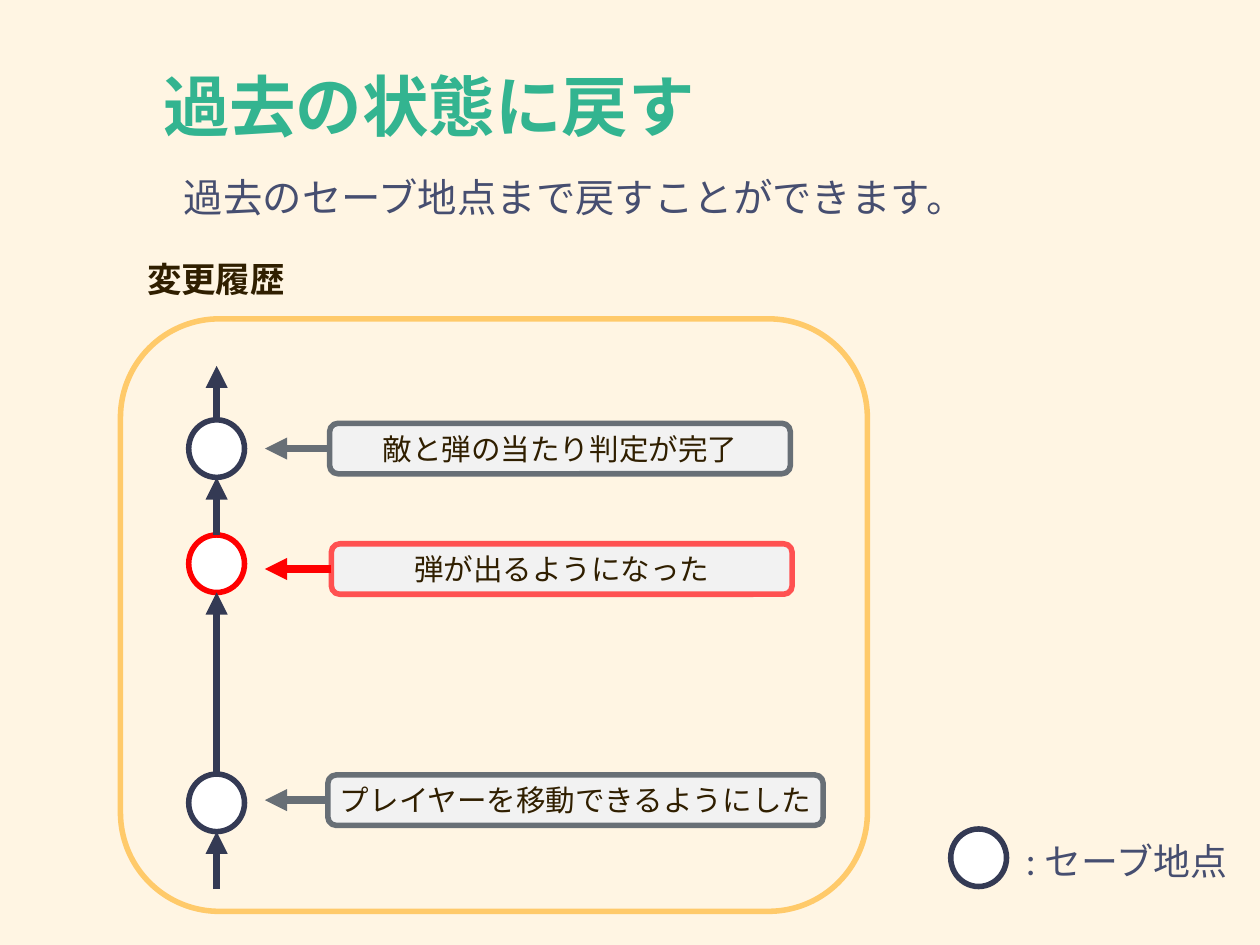
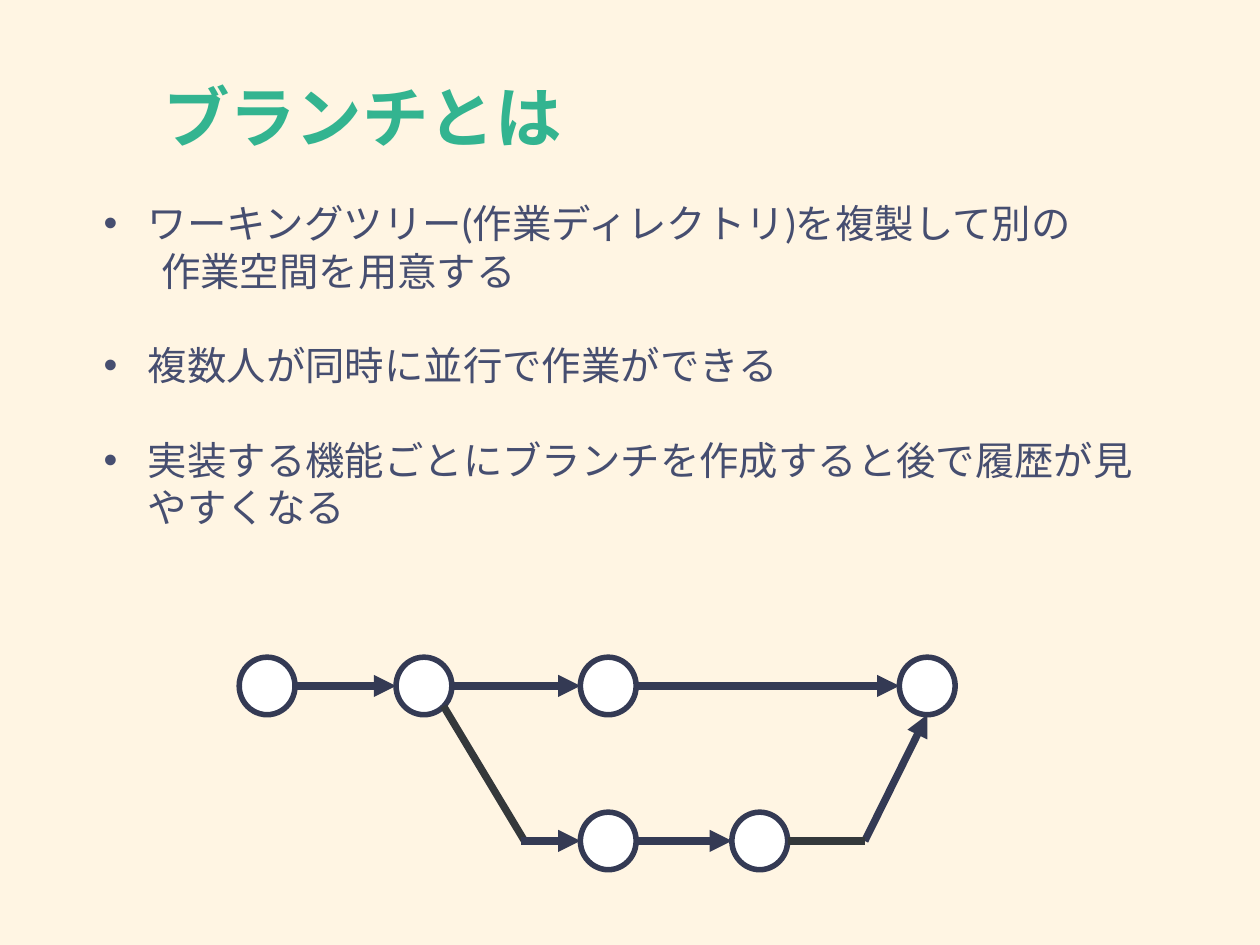
from dataclasses import dataclass

from lxml.etree import SubElement
from pptx import Presentation
from pptx.dml.color import RGBColor
from pptx.enum.shapes import MSO_CONNECTOR, MSO_SHAPE
from pptx.enum.text import MSO_ANCHOR, PP_ALIGN
from pptx.oxml.ns import qn
from pptx.util import Inches, Pt


@dataclass(frozen=True)
class Theme:
    background: str = "FFF5E3"
    title: str = "33B490"
    body: str = "464E70"
    ink: str = "301F00"
    navy: str = "343A54"
    charcoal: str = "34383B"
    grey: str = "686F76"
    red: str = "FF0000"
    coral: str = "FF5151"
    amber: str = "FFCA6A"
    label: str = "F2F2F2"
    white: str = "FFFFFF"
    heading_font: str = "Noto Sans CJK JP"
    body_font: str = "Lato"
    title_size: int = 54
    body_size: int = 32
    legend_size: int = 30
    caption_size: int = 28
    label_size: int = 24
    outline: float = 4.5
    arrow: float = 6


THEME = Theme()


def rgb(colour):
    return RGBColor.from_string(colour)


def anchor(shape, across, down):
    """Return the point at the given fractions of a shape's width and height."""
    return shape.left + int(shape.width * across), shape.top + int(shape.height * down)


class Deck:
    def __init__(self):
        self.presentation = Presentation()
        self.presentation.slide_width = Inches(14.22)
        self.presentation.slide_height = Inches(10.67)
        fill = self.presentation.slide_master.background.fill
        fill.solid()
        fill.fore_color.rgb = rgb(THEME.background)
        self.slide = None

    def new_slide(self, title, top):
        self.slide = self.presentation.slides.add_slide(self.presentation.slide_layouts[6])
        paragraph = self.text(title, 1.39, top, 11.44, 1.11, THEME.title_size, THEME.title,
                              THEME.heading_font, bold=True)
        paragraph.line_spacing = 0.8
        self.indent(paragraph, 0.39)

    def frame(self, shape):
        frame = shape.text_frame
        frame.word_wrap = True
        frame.vertical_anchor = MSO_ANCHOR.MIDDLE
        frame.margin_left = frame.margin_right = Inches(0.06)
        frame.margin_top = frame.margin_bottom = Inches(0.06)
        return frame

    def run(self, paragraph, text, size, colour, font, bold=False):
        run = paragraph.add_run()
        run.text = text
        run.font.size = Pt(size)
        run.font.bold = bold
        run.font.color.rgb = rgb(colour)
        run.font.name = font
        properties = run.font._element
        properties.set("lang", "ja-JP")
        SubElement(properties, qn("a:ea")).set("typeface", font)

    def indent(self, paragraph, left, first=0.0):
        properties = paragraph._p.get_or_add_pPr()
        properties.set("marL", str(Inches(left)))
        properties.set("indent", str(Inches(first)))
        return properties

    def text_box(self, left, top, width, height):
        return self.frame(self.slide.shapes.add_textbox(
            Inches(left), Inches(top), Inches(width), Inches(height)))

    def text(self, text, left, top, width, height, size, colour, font,
             bold=False, align=PP_ALIGN.LEFT):
        paragraph = self.text_box(left, top, width, height).paragraphs[0]
        paragraph.alignment = align
        self.run(paragraph, text, size, colour, font, bold)
        return paragraph

    def bullets(self, items, left, top, width, height):
        """Write (text, bulleted) items; each bullet after the first gets a gap."""
        frame = self.text_box(left, top, width, height)
        for index, (text, bulleted) in enumerate(items):
            paragraph = frame.add_paragraph() if index else frame.paragraphs[0]
            if bulleted:
                if index:
                    paragraph.space_before = Pt(38.4)
                properties = self.indent(paragraph, 0.5, -0.5)
                SubElement(properties, qn("a:buFont")).set("typeface", "Arial")
                SubElement(properties, qn("a:buChar")).set("char", "•")
            else:
                self.indent(paragraph, 0.65)
            self.run(paragraph, text, THEME.body_size, THEME.body, THEME.body_font)

    def shape(self, kind, left, top, width, height, line, fill=None):
        shape = self.slide.shapes.add_shape(
            kind, Inches(left), Inches(top), Inches(width), Inches(height))
        shape.shadow.inherit = False
        if fill:
            shape.fill.solid()
            shape.fill.fore_color.rgb = rgb(fill)
        else:
            shape.fill.background()
        shape.line.color.rgb = rgb(line)
        shape.line.width = Pt(THEME.outline)
        return shape

    def commit(self, left, top, colour=THEME.navy):
        return self.shape(MSO_SHAPE.FLOWCHART_CONNECTOR, left, top, 0.63, 0.65,
                          colour, THEME.white)

    def label(self, text, left, top, width, colour):
        shape = self.shape(MSO_SHAPE.ROUNDED_RECTANGLE, left, top, width, 0.57,
                           colour, THEME.label)
        paragraph = self.frame(shape).paragraphs[0]
        paragraph.alignment = PP_ALIGN.CENTER
        self.run(paragraph, text, THEME.label_size, THEME.ink, THEME.heading_font)
        return shape

    def line(self, start, end, colour=THEME.navy, arrowhead=True):
        connector = self.slide.shapes.add_connector(MSO_CONNECTOR.STRAIGHT, *start, *end)
        connector.line.color.rgb = rgb(colour)
        connector.line.width = Pt(THEME.arrow)
        if arrowhead:
            SubElement(connector.line._get_or_add_ln(), qn("a:tailEnd")).set("type", "triangle")
        SubElement(connector._element.spPr, qn("a:effectLst"))
        return connector

    def link_right(self, source, target):
        self.line(anchor(source, 1, 0.5), anchor(target, 0, 0.5))


def build_restore_slide(deck):
    deck.new_slide("過去の状態に戻す", 0.71)
    deck.text("過去のセーブ地点まで戻すことができます。", 0.77, 1.9, 11.44, 0.65,
              THEME.body_size, THEME.body, THEME.body_font, align=PP_ALIGN.CENTER)
    deck.text("変更履歴", 1.6, 2.86, 2.48, 0.58, THEME.caption_size, THEME.ink,
              THEME.heading_font, bold=True)
    deck.shape(MSO_SHAPE.ROUNDED_RECTANGLE, 1.36, 3.6, 8.43, 6.69, THEME.amber)

    history = [
        ("敵と弾の当たり判定が完了", 3.72, 4.78, 5.2, 4.74,
         THEME.grey, THEME.grey, THEME.navy),
        ("弾が出るようになった", 3.74, 6.14, 5.2, 6.04,
         THEME.coral, THEME.red, THEME.red),
        ("プレイヤーを移動できるようにした", 3.7, 8.75, 5.59, 8.74,
         THEME.grey, THEME.grey, THEME.navy),
    ]
    commits = []
    for text, left, top, width, commit_top, border, arrow, ring in history:
        label = deck.label(text, left, top, width, border)
        start = anchor(label, 0, 0.5)
        pointer = deck.line(start, (Inches(2.99), start[1]), arrow)
        pointer.begin_connect(label, 1)
        commits.append(deck.commit(2.13, commit_top, ring))

    axis = anchor(commits[0], 0.5, 0)[0]
    tops = [commit.top for commit in commits]
    bottoms = [commit.top + commit.height for commit in commits]
    for start, end in zip(tops + [Inches(10.04)], [Inches(4.13)] + bottoms):
        deck.line((axis, start), (axis, end))

    deck.commit(10.73, 9.36)
    deck.text(": セーブ地点", 11.52, 9.41, 2.44, 0.62,
              THEME.legend_size, THEME.body, THEME.body_font)


def build_branch_slide(deck):
    deck.new_slide("ブランチとは", 0.84)
    deck.bullets([
        ("ワーキングツリー(作業ディレクトリ)を複製して別の", True),
        ("作業空間を用意する", False),
        ("複数人が同時に並行で作業ができる", True),
        ("実装する機能ごとにブランチを作成すると後で履歴が見やすくなる", True),
    ], 1.11, 2.18, 12.13, 3.88)

    main = [deck.commit(left, 7.42) for left in (2.7, 4.47, 6.55, 10.15)]
    branch = [deck.commit(left, 9.17) for left in (6.55, 8.26)]
    for row in (main, branch):
        for source, target in zip(row, row[1:]):
            deck.link_right(source, target)

    first, last = anchor(branch[0], 0, 0.5), anchor(branch[-1], 1, 0.5)
    fork = (Inches(5.92), first[1])
    merge = (Inches(9.76), last[1])
    deck.line(fork, anchor(main[1], 0.85, 0.85), THEME.charcoal, arrowhead=False)
    deck.line((Inches(5.88), first[1]), first)
    deck.line(merge, anchor(main[-1], 0.5, 1))
    deck.line(last, merge, THEME.charcoal, arrowhead=False)


def main():
    deck = Deck()
    build_restore_slide(deck)
    build_branch_slide(deck)
    deck.presentation.save("out.pptx")


if __name__ == "__main__":
    main()
